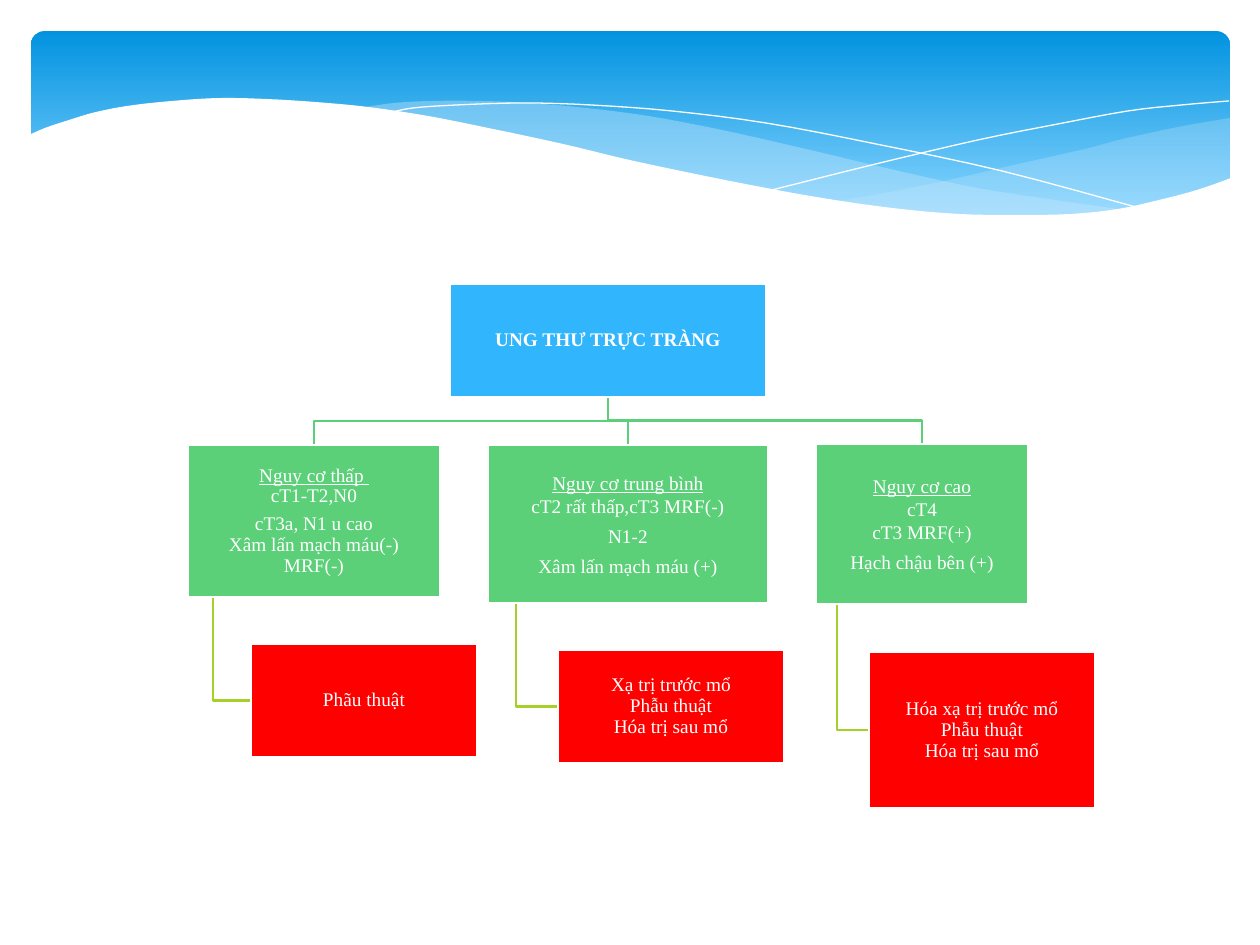
from lxml import etree
from pptx import Presentation
from pptx.dml.color import RGBColor
from pptx.enum.shapes import MSO_SHAPE
from pptx.enum.text import MSO_ANCHOR, PP_ALIGN
from pptx.oxml.ns import qn
from pptx.util import Pt

PX = 914400 / 126
RECT, ROUND = MSO_SHAPE.RECTANGLE, MSO_SHAPE.ROUNDED_RECTANGLE
MIDDLE, CENTER = MSO_ANCHOR.MIDDLE, PP_ALIGN.CENTER
WHITE, BLUE, GREEN, RED, LIME = "FFFFFF", "31B6FD", "5BD078", "FF0000", "A5D028"
MIST = "C6E7FC"

ROOT = (450, 284, 316, 113)
BRANCHES = [
    ((188, 445, 252, 152), 0.9,
     ["Nguy cơ thấp \vcT1-T2,N0", "cT3a, N1 u cao\vXâm lấn mạch máu(-)\vMRF(-)"],
     (251, 644, 226, 113), "Phãu thuật"),
    ((488, 445, 280, 158), 1.0,
     ["Nguy cơ trung bình\vcT2 rất thấp,cT3 MRF(-)", "N1-2", "Xâm lấn mạch máu (+)"],
     (558, 650, 226, 113), "Xạ trị trước mổ\vPhẫu thuật\vHóa trị sau mổ"),
    ((816, 444, 212, 160), 1.0,
     ["Nguy cơ cao\vcT4\vcT3 MRF(+)", "Hạch chậu bên (+)"],
     (869, 652, 226, 156), "Hóa xạ trị trước mổ\vPhẫu thuật\vHóa trị sau mổ"),
]

SIDE_TOP = [(1230, 118), (1178, 127), (1123, 139), (1085, 149), (1014, 165),
            (949, 180), (890, 192), (833, 202)]
SIDE_LOW = [(833, 202), (906, 210), (969, 215), (1026, 217), (1076, 214),
            (1120, 209), (1160, 202), (1196, 192), (1230, 178)]
MID_TOP = [(1125, 210), (1055, 200), (977, 188), (890, 169), (793, 146),
           (717, 129), (648, 116), (586, 108), (529, 103), (479, 101),
           (433, 101), (394, 103), (360, 108)]
MID_LOW = [(360, 108), (431, 118), (509, 134), (566, 146), (668, 170),
           (757, 189), (838, 203), (910, 212), (974, 217), (1031, 218),
           (1080, 215), (1125, 210)]
FALL = [(389, 113), (413, 108), (457, 105), (524, 103), (591, 105), (672, 111),
        (766, 123), (876, 144), (1002, 171), (1143, 209)]
RISE = [(772, 190), (876, 164), (978, 140), (1053, 125), (1128, 111),
        (1182, 105), (1229, 101)]
EDGE = [(1231, 178), (1197, 190), (1159, 200), (1118, 209), (1071, 214),
        (1019, 215), (959, 214), (892, 208), (816, 197), (730, 181), (634, 161),
        (563, 144), (493, 129), (428, 116), (368, 107), (315, 102), (266, 99),
        (223, 98), (184, 100), (134, 105), (96, 112), (66, 121), (45, 128),
        (29, 135)]


def px(n):
    """Turn pixels into EMU."""
    return round(n * PX)


def rgb(code):
    """Turn a hex string into a colour."""
    return RGBColor.from_string(code)


def smooth(knots, steps=4):
    """Run a Catmull-Rom curve through the knots."""
    ends = [knots[0], *knots, knots[-1]]
    curve = [knots[0]]
    for a, b, c, d in zip(ends, ends[1:], ends[2:], ends[3:]):
        for i in range(1, steps + 1):
            t = i / steps
            curve.append(tuple(
                q + t / 2 * (r - p + t * (2 * p - 5 * q + 4 * r - s
                                          + t * (3 * q - p - 3 * r + s)))
                for p, q, r, s in zip(a, b, c, d)))
    return curve


def path(slide, points, close):
    """Build a bare outline through the points."""
    first, *rest = [(px(x), px(y)) for x, y in points]
    pen = slide.shapes.build_freeform(*first, scale=1)
    pen.add_line_segments(rest, close=close)
    shape = pen.convert_to_shape()
    shape.shadow.inherit = False
    return shape


def area(slide, points, color, alpha=100):
    """Draw a filled outline without a line."""
    shape = path(slide, points, True)
    shape.line.fill.background()
    shape.fill.solid()
    shape.fill.fore_color.rgb = rgb(color)
    if alpha < 100:
        tone = shape.fill._xPr.find(".//" + qn("a:srgbClr"))
        etree.SubElement(tone, qn("a:alpha"), val=str(alpha * 1000))


def stroke(slide, points, color, width):
    """Draw an open line."""
    shape = path(slide, points, False)
    shape.fill.background()
    shape.line.color.rgb = rgb(color)
    shape.line.width = Pt(width)


def banner(slide):
    """Draw the blue band and its waves."""
    band = slide.shapes.add_shape(ROUND, px(31), px(31), px(1199), px(197))
    band.adjustments[0] = 0.07
    band.shadow.inherit = False
    band.line.fill.background()
    band.fill.gradient()
    band.fill.gradient_angle = 270
    for stop, place, code in zip(band.fill.gradient_stops, (0, 0.9), ("0293E0", "83D3FE")):
        stop.position = place
        stop.color.rgb = rgb(code)
    area(slide, smooth(SIDE_TOP) + smooth(SIDE_LOW), MIST, 29)
    area(slide, smooth(MID_TOP) + smooth(MID_LOW), MIST, 40)
    for line in (FALL, RISE):
        stroke(slide, smooth(line), WHITE, 0)
    area(slide, smooth(EDGE) + [(29, 282), (1231, 282)], WHITE)


def box(slide, place, color, texts, space=0.9, bold=False, head=False):
    """Draw a box with centred text, its first line underlined on request."""
    shape = slide.shapes.add_shape(RECT, *map(px, place))
    shape.shadow.inherit = False
    shape.fill.solid()
    shape.fill.fore_color.rgb = rgb(color)
    shape.line.color.rgb = rgb(WHITE)
    shape.line.width = Pt(1.25)
    frame = shape.text_frame
    frame.word_wrap = True
    frame.vertical_anchor = MIDDLE
    frame.margin_left = frame.margin_right = px(1)
    frame.margin_top = frame.margin_bottom = px(1)
    for i, text in enumerate(texts):
        para = frame.add_paragraph() if i else frame.paragraphs[0]
        para.text = text
        para.alignment = CENTER
        para.line_spacing = space
        para.space_after = Pt(4)
        font = para.font
        font.name, font.size, font.bold = "Times New Roman", Pt(11), bold
        font.color.rgb = rgb(WHITE)
    if head:
        frame.paragraphs[0].runs[0].font.underline = True


def links(slide, risk, care):
    """Join the root to a risk box and that box to its care box."""
    x, y, w, h = ROOT
    left, top, wide, high = risk
    mid, foot, turn = x + w / 2, y + h, (y + h + top) / 2
    goal = left + wide / 2
    stroke(slide, [(mid, foot), (mid, turn), (goal, turn), (goal, top)], GREEN, 1.25)
    stem, level = left + wide / 10, care[1] + care[3] / 2
    stroke(slide, [(stem, top + high), (stem, level), (care[0], level)], LIME, 1.25)


def main():
    """Build the slide."""
    deck = Presentation()
    deck.slide_width, deck.slide_height = px(1260), px(945)
    slide = deck.slides.add_slide(deck.slide_layouts[6])
    banner(slide)
    for risk, _, _, care, _ in reversed(BRANCHES):
        links(slide, risk, care)
    box(slide, ROOT, BLUE, ["UNG THƯ TRỰC TRÀNG"], bold=True)
    for risk, space, texts, care, plan in BRANCHES:
        box(slide, risk, GREEN, texts, space, head=True)
        box(slide, care, RED, [plan])
    deck.save("out.pptx")


if __name__ == "__main__":
    main()
